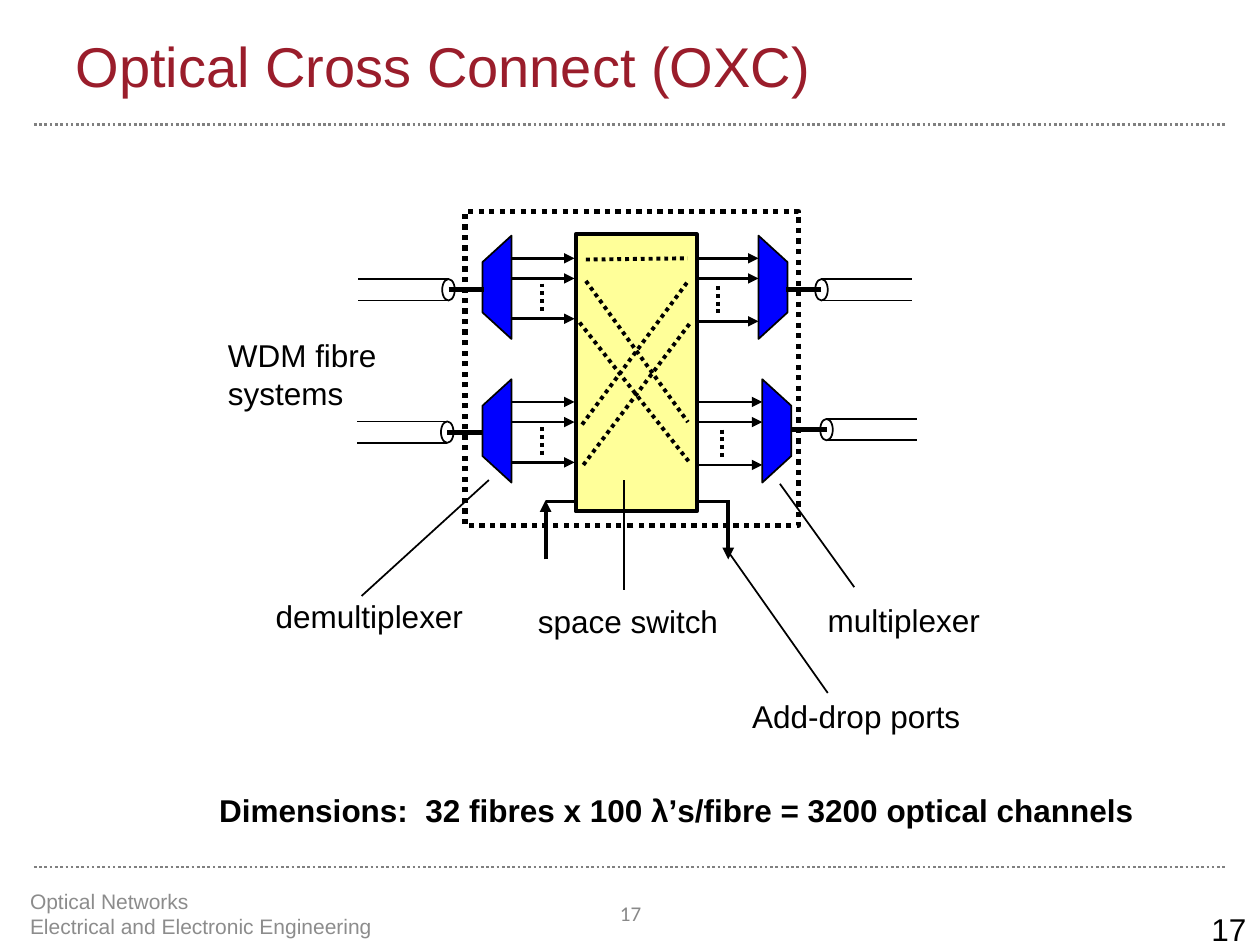
from lxml.etree import SubElement
from pptx import Presentation
from pptx.dml.color import RGBColor
from pptx.enum.dml import MSO_LINE
from pptx.enum.shapes import MSO_CONNECTOR, MSO_SHAPE
from pptx.enum.text import MSO_ANCHOR, MSO_AUTO_SIZE, PP_ALIGN
from pptx.oxml.ns import qn
from pptx.util import Cm, Pt

COLOURS = {
    "title": "9A1D2B", "ink": "000000", "rule": "808080", "footer": "8C8C8C",
    "number": "898989", "switch": "FFFF99", "mux": "0000FF",
}
TITLE = "Optical Cross Connect (OXC)"
LABELS = [
    (["space switch"], (4.17, 4.73, 1.65, 0.4), False),
    (["demultiplexer"], (2.09, 4.69, 1.7, 0.4), False),
    (["multiplexer"], (6.47, 4.72, 1.42, 0.4), False),
    (["WDM fibre", "systems"], (1.71, 2.62, 1.39, 0.71), False),
    (["Add-drop ports"], (5.87, 5.48, 1.89, 0.4), False),
    (["Dimensions:  32 fibres x 100 λ’s/fibre = 3200 optical channels"],
     (1.64, 6.23, 7.59, 0.4), True),
]
FOOTERS = [
    (["17"], (7.84, 7.17, 2.15, 0.52), 18, "Arial", "ink", PP_ALIGN.RIGHT, MSO_ANCHOR.TOP),
    (["Optical Networks", "Electrical and Electronic\u00a0Engineering"],
     (0.14, 7.05, 4.23, 0.4), 12, "Arial", "footer", PP_ALIGN.LEFT, MSO_ANCHOR.MIDDLE),
    (["17"], (4.61, 7.05, 0.79, 0.4), 12, "Calibri", "number", PP_ALIGN.CENTER, MSO_ANCHOR.MIDDLE),
]
LEFT, RIGHT = -1, 1
MUXES = [(LEFT, 4.06, 1.87), (LEFT, 4.06, 3.01), (RIGHT, 6.02, 1.87), (RIGHT, 6.05, 3.01)]
CHANNELS = {LEFT: (0.18, 0.34, 0.66), RIGHT: (0.18, 0.34, 0.68)}
MUX_WIDTH, MUX_HEIGHT, MUX_SLANT, CHANNEL_LENGTH = 0.23, 0.82, 0.21, 0.5
ELLIPSIS = {LEFT: (0.24, 0.38), RIGHT: (-0.32, 0.4)}
ELLIPSIS_LENGTH = 0.24
FIBRES = [(LEFT, 3.56, 2.3), (LEFT, 3.55, 3.43), (RIGHT, 6.52, 2.3), (RIGHT, 6.56, 3.41)]
FIBRE_LENGTH, FIBRE_RADIUS, STUB_LENGTH = 0.72, 0.085, 0.28
SWITCH_PATHS = [
    (4.65, 2.06, 5.46, 2.05), (4.65, 2.23, 5.46, 3.35), (4.62, 3.37, 5.47, 2.22),
    (4.63, 3.69, 5.48, 2.56), (4.6, 2.56, 5.48, 3.68),
]
PORT_ARROWS = [(4.33, 4.44, 4.33, 3.97), (5.78, 3.97, 5.78, 4.44)]
PORT_STUBS = [(4.33, 3.98, 4.58, 3.98), (5.78, 3.98, 5.53, 3.98)]
LEADERS = [
    (6.19, 3.84, 6.78, 4.66), (4.95, 3.81, 4.95, 4.68),
    (3.88, 3.81, 2.87, 4.73), (5.76, 4.35, 6.57, 5.5),
]


def inches(*values):
    return [Cm(value * 2.54) for value in values]


def colour(name):
    return RGBColor.from_string(COLOURS[name])


def draw_line(page, ends, width, ink="ink", dotted=False, arrow=False):
    line = page.shapes.add_connector(MSO_CONNECTOR.STRAIGHT, *inches(*ends))
    line.line.color.rgb = colour(ink)
    line.line.width = Pt(width)
    if dotted:
        line.line.dash_style = MSO_LINE.ROUND_DOT
    if arrow:
        SubElement(line.line._get_or_add_ln(), qn("a:tailEnd"), type="triangle")
    SubElement(line._element.spPr, qn("a:effectLst"))


def style_shape(shape, width, fill=None):
    shape.shadow.inherit = False
    if fill:
        shape.fill.solid()
        shape.fill.fore_color.rgb = colour(fill)
    else:
        shape.fill.background()
    shape.line.color.rgb = colour("ink")
    shape.line.width = Pt(width)
    return shape


def draw_shape(page, kind, frame, width, fill=None):
    return style_shape(page.shapes.add_shape(kind, *inches(*frame)), width, fill)


def draw_mux(page, side, edge, top):
    narrow = edge + side * MUX_WIDTH
    bottom = top + MUX_HEIGHT
    corners = [(edge, top), (narrow, top + MUX_SLANT), (narrow, bottom - MUX_SLANT), (edge, bottom)]
    points = [inches(*corner) for corner in corners]
    builder = page.shapes.build_freeform(*points[0])
    builder.add_line_segments(points[1:], close=True)
    style_shape(builder.convert_to_shape(), 1, "mux")
    start = edge if side == LEFT else edge - CHANNEL_LENGTH
    for drop in CHANNELS[side]:
        draw_line(page, (start, top + drop, start + CHANNEL_LENGTH, top + drop), 1.5, arrow=True)
    shift, drop = ELLIPSIS[side]
    x, y = edge + shift, top + drop
    draw_line(page, (x, y, x, y + ELLIPSIS_LENGTH), 2.25, dotted=True)


def draw_fibre(page, side, x, y):
    draw_shape(page, MSO_SHAPE.OVAL, (x - 0.05, y - FIBRE_RADIUS, 0.1, 2 * FIBRE_RADIUS), 1)
    for wall in (y - FIBRE_RADIUS, y + FIBRE_RADIUS):
        draw_line(page, (x, wall, x + side * FIBRE_LENGTH, wall), 1)
    draw_line(page, (x, y, x - side * STUB_LENGTH, y), 3)


def write(frame, lines, size, font, ink, align=PP_ALIGN.LEFT, bold=False):
    for index, text in enumerate(lines):
        para = frame.add_paragraph() if index else frame.paragraphs[0]
        para.text = text
        para.alignment = align
        para.font.size = Pt(size)
        para.font.name = font
        para.font.bold = bold
        para.font.color.rgb = colour(ink)


def main():
    deck = Presentation()
    deck.slide_width, deck.slide_height = inches(10, 7.5)
    page = deck.slides.add_slide(deck.slide_layouts[5])

    title = page.shapes.title
    title.left, title.top, title.width, title.height = inches(0.5, 0.13, 9, 0.77)
    title.text_frame.vertical_anchor = MSO_ANCHOR.MIDDLE
    write(title.text_frame, [TITLE], 32, "Arial", "title")

    for y in (0.99, 6.88):
        draw_line(page, (0.27, y, 9.73, y), 1.5, "rule", dotted=True)

    draw_shape(page, MSO_SHAPE.RECTANGLE, (4.57, 1.86, 0.96, 2.2), 2.25, "switch")
    for mux in MUXES:
        draw_mux(page, *mux)
    for ends in SWITCH_PATHS:
        draw_line(page, ends, 2.25, dotted=True)
    for fibre in FIBRES:
        draw_fibre(page, *fibre)
    for ends in PORT_ARROWS:
        draw_line(page, ends, 2.25, arrow=True)
    for ends in PORT_STUBS:
        draw_line(page, ends, 2.25)
    outline = draw_shape(page, MSO_SHAPE.RECTANGLE, (3.69, 1.68, 2.65, 2.49), 3)
    outline.line.dash_style = MSO_LINE.ROUND_DOT
    for ends in LEADERS:
        draw_line(page, ends, 1)

    for lines, place, bold in LABELS:
        frame = page.shapes.add_textbox(*inches(*place)).text_frame
        frame.word_wrap = False
        frame.auto_size = MSO_AUTO_SIZE.SHAPE_TO_FIT_TEXT
        write(frame, lines, 18, "Arial", "ink", bold=bold)
    for lines, place, size, font, ink, align, anchor in FOOTERS:
        frame = page.shapes.add_textbox(*inches(*place)).text_frame
        frame.word_wrap = True
        frame.vertical_anchor = anchor
        write(frame, lines, size, font, ink, align)

    deck.save("out.pptx")


if __name__ == "__main__":
    main()
